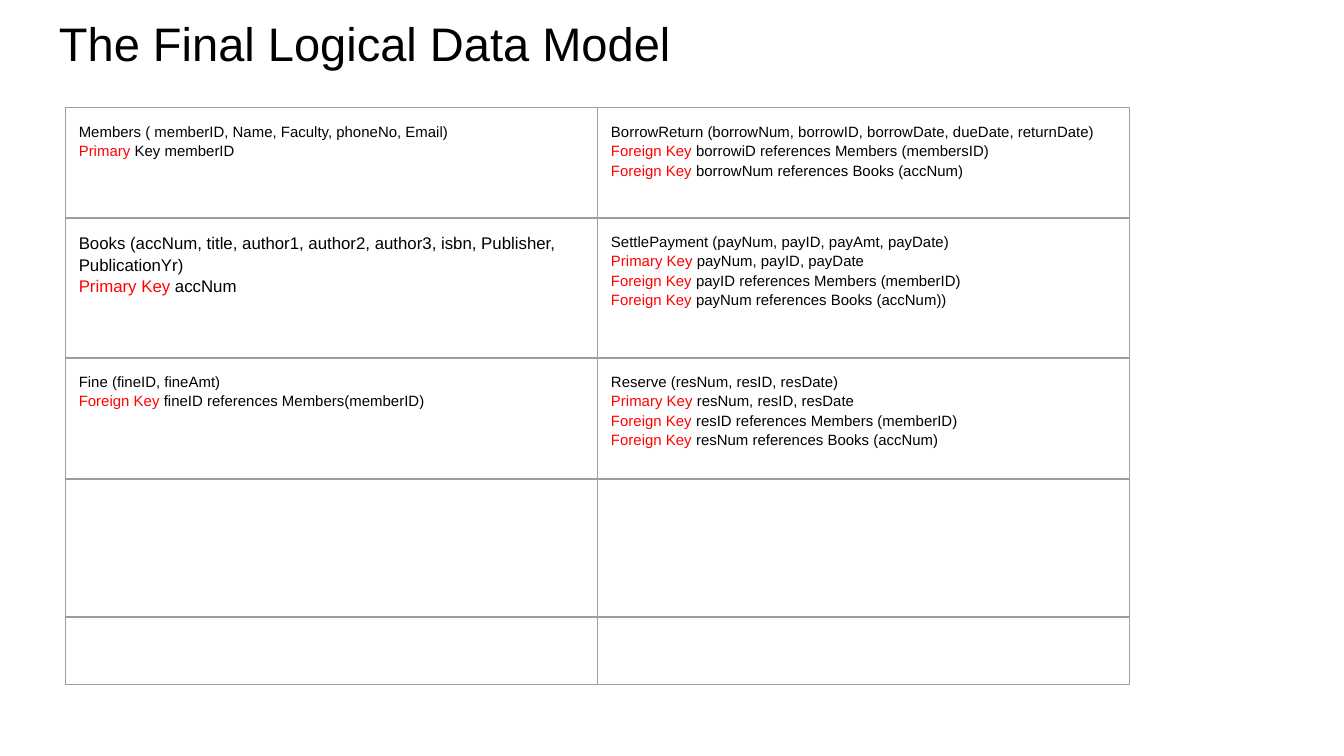
"""Build the slide with the final logical data model of a library."""
from lxml.etree import SubElement
from pptx import Presentation
from pptx.dml.color import RGBColor
from pptx.enum.text import MSO_ANCHOR as Anchor
from pptx.oxml.ns import qn
from pptx.util import Pt

TITLE = "The Final Logical Data Model"
BLACK, RED, GREY = "000000", "FF0000", "9E9E9E"
PK, FK = "Primary Key", "Foreign Key"
COL_WIDTH = 285.12
ROW_HEIGHTS = [59, 75, 64.8, 74, 34.8]
INSETS = dict.fromkeys(
    ["margin_left", "margin_right", "margin_top", "margin_bottom"], Pt(7.2))

RELATIONS = [
    [(8, "Members ( memberID, Name, Faculty, phoneNo, Email)",
      [("Primary", " Key memberID")]),
     (8, "BorrowReturn (borrowNum, borrowID, borrowDate, dueDate, returnDate)",
      [(FK, " borrowiD references Members (membersID)"),
       (FK, " borrowNum references Books (accNum)")])],
    [(9, "Books (accNum, title, author1, author2, author3, isbn, Publisher, PublicationYr)",
      [(PK, " accNum")]),
     (8, "SettlePayment (payNum, payID, payAmt, payDate)",
      [(PK, " payNum, payID, payDate"),
       (FK, " payID references Members (memberID)"),
       (FK, " payNum references Books (accNum))")])],
    [(8, "Fine (fineID, fineAmt)",
      [(FK, " fineID references Members(memberID)")]),
     (8, "Reserve (resNum, resID, resDate)",
      [(PK, " resNum, resID, resDate"),
       (FK, " resID references Members (memberID)"),
       (FK, " resNum references Books (accNum)")])],
]


def rgb(color):
    return RGBColor.from_string(color)


def apply(obj, values):
    for name, value in values.items():
        setattr(obj, name, value)


def add_run(p, text, size, color=BLACK):
    r = p.add_run()
    r.text = text
    apply(r.font, {"name": "Arial", "size": Pt(size)})
    r.font.color.rgb = rgb(color)


def add_borders(cell):
    tc_pr = cell._tc.get_or_add_tcPr()
    for i, side in enumerate(["a:lnL", "a:lnR", "a:lnT", "a:lnB"]):
        ln = SubElement(tc_pr, qn(side), w=str(Pt(0.75)))
        fill = SubElement(ln, qn("a:solidFill"))
        SubElement(fill, qn("a:srgbClr"), val=GREY)
        tc_pr.insert(i, ln)


def fill_cell(cell, size, heading, keys):
    tf = cell.text_frame
    lines = [[(heading, BLACK)]] + [[(key, RED), (rest, BLACK)] for key, rest in keys]
    for i, line in enumerate(lines):
        p = tf.add_paragraph() if i else tf.paragraphs[0]
        p.line_spacing = 1.15
        for text, color in line:
            add_run(p, text, size, color)


def main():
    prs = Presentation()
    apply(prs, {"slide_width": Pt(720), "slide_height": Pt(405)})
    s = prs.slides.add_slide(prs.slide_layouts[6])

    tf = s.shapes.add_textbox(Pt(24.5), Pt(0), Pt(671), Pt(45.4)).text_frame
    apply(tf, {**INSETS, "word_wrap": True, "vertical_anchor": Anchor.BOTTOM})
    add_run(tf.paragraphs[0], TITLE, 25.2)

    table = s.shapes.add_table(
        len(ROW_HEIGHTS), 2, Pt(35), Pt(57.8),
        Pt(2 * COL_WIDTH), Pt(sum(ROW_HEIGHTS))).table
    apply(table, {"first_row": False, "horz_banding": False})
    for column in table.columns:
        column.width = Pt(COL_WIDTH)
    for row, height in zip(table.rows, ROW_HEIGHTS):
        row.height = Pt(height)
    for cell in table.iter_cells():
        apply(cell, INSETS)
        cell.fill.background()
        add_borders(cell)
    for row, relations in zip(table.rows, RELATIONS):
        for cell, relation in zip(row.cells, relations):
            fill_cell(cell, *relation)

    prs.save("out.pptx")


if __name__ == "__main__":
    main()
